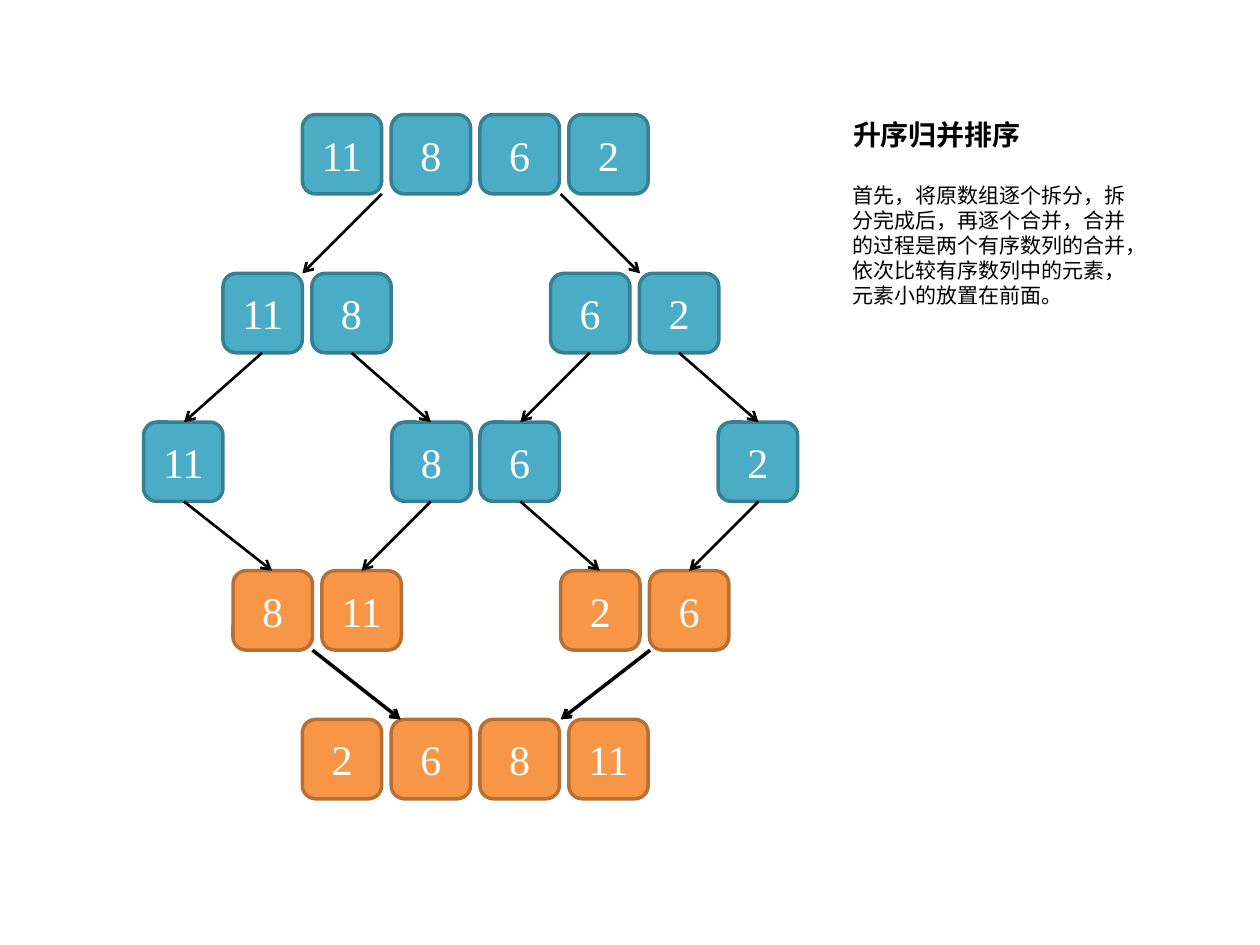
from dataclasses import dataclass
from typing import Any

from lxml.etree import SubElement
from pptx import Presentation
from pptx.dml.color import RGBColor
from pptx.enum.shapes import MSO_CONNECTOR, MSO_SHAPE
from pptx.enum.text import MSO_ANCHOR, MSO_AUTO_SIZE, PP_ALIGN
from pptx.oxml.ns import qn
from pptx.util import Inches, Pt

CELL = 0.63
PITCH = 0.705
SPLIT = ("4BACC6", "377F92")
MERGE = ("F79646", "B76F34")
CJK_FONT = "Noto Sans CJK JP"


@dataclass
class Run:
    """Adjacent cells of one sub-array, starting at left."""
    left: float
    values: list[int]


@dataclass
class Level:
    """One step of the sort; arrows pair the x of a start below it with the x of an end."""
    top: float
    colors: tuple[str, str]
    runs: list[Run]
    arrows: list[tuple[float, float]]
    arrow_width: float = 1.5


LEVELS = [
    Level(0.91, SPLIT, [Run(2.4, [11, 8, 6, 2])], [(3.03, 2.4), (4.45, 5.08)]),
    Level(2.17, SPLIT, [Run(1.77, [11, 8]), Run(4.37, [6, 2])],
          [(2.08, 1.46), (2.79, 3.42), (4.68, 4.13), (5.39, 6.02)]),
    Level(3.35, SPLIT, [Run(1.14, [11]), Run(3.11, [8]), Run(3.81, [6]), Run(5.7, [2])],
          [(1.46, 2.16), (3.42, 2.87), (4.13, 4.76), (6.02, 5.47)]),
    Level(4.53, MERGE, [Run(1.85, [8, 11]), Run(4.45, [2, 6])],
          [(2.48, 3.18), (5.16, 4.45)], 2),
    Level(5.71, MERGE, [Run(2.4, [2, 6, 8, 11])], []),
]


def color(value: str) -> RGBColor:
    return RGBColor.from_string(value)


def apply(target: Any, formats: dict[str, Any]) -> None:
    for name, value in formats.items():
        setattr(target, name, value)


def write(para: Any, text: str, size: float, hue: str, font: str, bold: bool = False) -> None:
    span = para.add_run()
    span.text = text
    apply(span.font, {"size": Pt(size), "name": font, "bold": bold})
    span.font.color.rgb = color(hue)
    SubElement(span.font._element, qn("a:ea")).set("typeface", font)


def draw_cell(page: Any, left: float, top: float, value: int, colors: tuple[str, str]) -> None:
    box = page.shapes.add_shape(MSO_SHAPE.ROUNDED_RECTANGLE, Inches(left), Inches(top),
                                Inches(CELL), Inches(CELL))
    box.shadow.inherit = False
    box.fill.solid()
    box.fill.fore_color.rgb = color(colors[0])
    box.line.color.rgb = color(colors[1])
    box.line.width = Pt(2)
    box.text_frame.vertical_anchor = MSO_ANCHOR.MIDDLE
    para = box.text_frame.paragraphs[0]
    para.alignment = PP_ALIGN.CENTER
    write(para, str(value), 24, "FFFFFF", "Times New Roman")


def draw_arrow(page: Any, start: tuple[float, float], end: tuple[float, float],
               width: float) -> None:
    arrow = page.shapes.add_connector(MSO_CONNECTOR.STRAIGHT,
                                      *map(Inches, start), *map(Inches, end))
    arrow.line.color.rgb = color("000000")
    arrow.line.width = Pt(width)
    SubElement(arrow.line._get_or_add_ln(), qn("a:tailEnd")).set("type", "arrow")
    SubElement(arrow._element.spPr, qn("a:effectLst"))


def format_text_box(box: Any, top: float, height: float) -> Any:
    """Place a box in the text column and return its first paragraph."""
    apply(box, {"left": Inches(6.67), "top": Inches(top),
                "width": Inches(2.44), "height": Inches(height)})
    apply(box.text_frame, {"word_wrap": True, "auto_size": MSO_AUTO_SIZE.NONE,
                           "vertical_anchor": MSO_ANCHOR.TOP})
    para = box.text_frame.paragraphs[0]
    para.alignment = PP_ALIGN.LEFT
    return para


def main() -> None:
    deck = Presentation()
    apply(deck, {"slide_width": Inches(10), "slide_height": Inches(7.5)})
    page = deck.slides.add_slide(deck.slide_layouts[5])

    for level in LEVELS:
        for run in level.runs:
            for index, value in enumerate(run.values):
                draw_cell(page, run.left + index * PITCH, level.top, value, level.colors)
    for level, following in zip(LEVELS, LEVELS[1:]):
        for start, end in level.arrows:
            draw_arrow(page, (start, level.top + CELL), (end, following.top),
                       level.arrow_width)

    heading = format_text_box(page.shapes.title, 0.88, 0.45)
    write(heading, "升序归并排序", 16, "000000", CJK_FONT, True)
    explanation = format_text_box(page.shapes.add_textbox(0, 0, 0, 0), 1.4, 1.09)
    explanation.line_spacing = Pt(14.3)
    write(explanation, "首先，将原数组逐个拆分，拆分完成后，再逐个合并，合并的过程是两个有序数列的合并，"
          "依次比较有序数列中的元素，元素小的放置在前面。", 12, "000000", CJK_FONT)

    deck.save("out.pptx")


if __name__ == "__main__":
    main()
